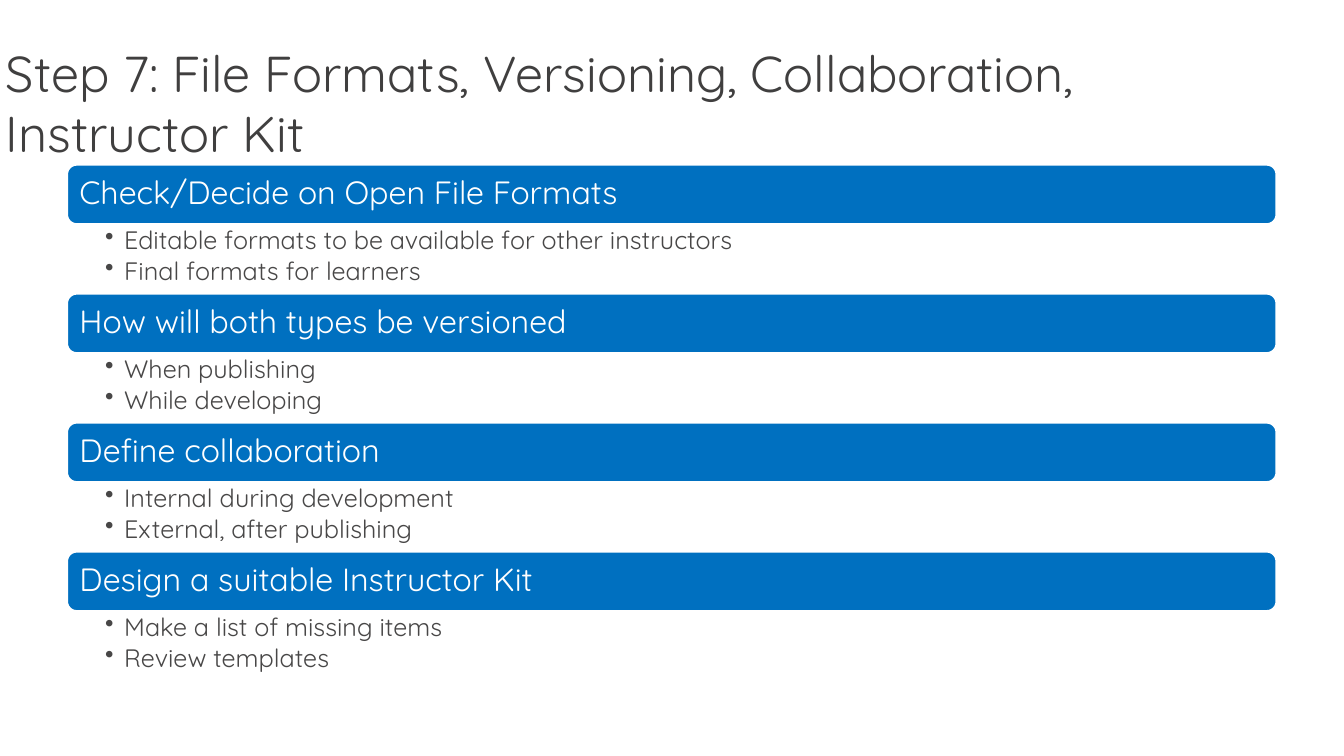
from lxml import etree
from pptx import Presentation
from pptx.dml.color import RGBColor
from pptx.enum.shapes import MSO_SHAPE
from pptx.enum.text import MSO_ANCHOR, MSO_AUTO_SIZE, PP_ALIGN
from pptx.oxml.ns import qn
from pptx.util import Cm, Pt

ROUND = MSO_SHAPE.ROUNDED_RECTANGLE
TOP, MIDDLE = MSO_ANCHOR.TOP, MSO_ANCHOR.MIDDLE
NO_FIT = MSO_AUTO_SIZE.NONE
LEFT = PP_ALIGN.LEFT

FONT = "Quicksand"
BLUE = RGBColor(0x00, 0x70, 0xC0)
WHITE = RGBColor(0xFF, 0xFF, 0xFF)
DARK = RGBColor(0x40, 0x3F, 0x3F)
GRAY = RGBColor(0x48, 0x47, 0x47)

BAR_H = 1.52
LIST_H = 1.73

TITLE = "Step 7: File Formats, Versioning, Collaboration, Instructor Kit"
TOPICS = [
    ("Check/Decide on Open File Formats",
     ["Editable formats to be available for other instructors",
      "Final formats for learners"]),
    ("How will both types be versioned",
     ["When publishing", "While developing"]),
    ("Define collaboration",
     ["Internal during development", "External, after publishing"]),
    ("Design a suitable Instructor Kit",
     ["Make a list of missing items", "Review templates"]),
]


def write(shape, lines, size, color, insets, anchor=TOP, spacing=1.0,
          after=0, bullet=None):
    """Fill a shape with formatted lines; insets are left, top, right, bottom."""
    frame = shape.text_frame
    frame.word_wrap = True
    frame.auto_size = NO_FIT
    frame.vertical_anchor = anchor
    (frame.margin_left, frame.margin_top,
     frame.margin_right, frame.margin_bottom) = map(Cm, insets)
    for i, line in enumerate(lines):
        para = frame.paragraphs[0] if i == 0 else frame.add_paragraph()
        para.alignment = LEFT
        para.line_spacing = spacing
        para.space_before = Pt(0)
        para.space_after = Pt(after)
        if bullet:
            props = para._p.get_or_add_pPr()
            props.set("marL", str(Cm(0.48)))
            props.set("indent", str(-Cm(0.48)))
            etree.SubElement(props, qn("a:buChar")).set("char", bullet)
        run = para.add_run()
        run.text = line
        run.font.name = FONT
        run.font.size = Pt(size)
        run.font.color.rgb = color


def add_title(slide, text, left, top, width, height):
    """Place the slide title in the given box."""
    title = slide.shapes.title
    title.left, title.top = Cm(left), Cm(top)
    title.width, title.height = Cm(width), Cm(height)
    write(title, [text], 36, DARK, (0.15, 0.15, 0.15, 0.15))


def add_topic(slide, head, items, left, top, width):
    """Draw a heading bar with its bullet list below."""
    bar = slide.shapes.add_shape(
        ROUND, Cm(left), Cm(top), Cm(width), Cm(BAR_H))
    bar.shadow.inherit = False
    bar.fill.solid()
    bar.fill.fore_color.rgb = BLUE
    bar.line.color.rgb = WHITE
    bar.line.width = Pt(2)
    write(bar, [head], 23, WHITE, (0.25, 0.1, 0.25, 0.1), anchor=MIDDLE,
          spacing=0.9)
    box = slide.shapes.add_textbox(
        Cm(left), Cm(top + BAR_H), Cm(width), Cm(LIST_H))
    write(box, items, 18, GRAY, (0.97, 0.08, 0.46, 0.08), spacing=0.9,
          after=2.6, bullet="•")


def add_topics(slide, topics, left, top, width):
    """Stack all topics from the top of the given column."""
    for i, (head, items) in enumerate(topics):
        add_topic(slide, head, items, left, top + i * (BAR_H + LIST_H), width)


def main():
    """Build and save the slide."""
    deck = Presentation()
    deck.slide_width, deck.slide_height = Cm(33.87), Cm(19.05)
    slide = deck.slides.add_slide(deck.slide_layouts[5])
    add_title(slide, TITLE, 0, 0.91, 32.18, 3.61)
    add_topics(slide, TOPICS, 1.68, 4.14, 30.5)
    deck.save("out.pptx")


if __name__ == "__main__":
    main()
